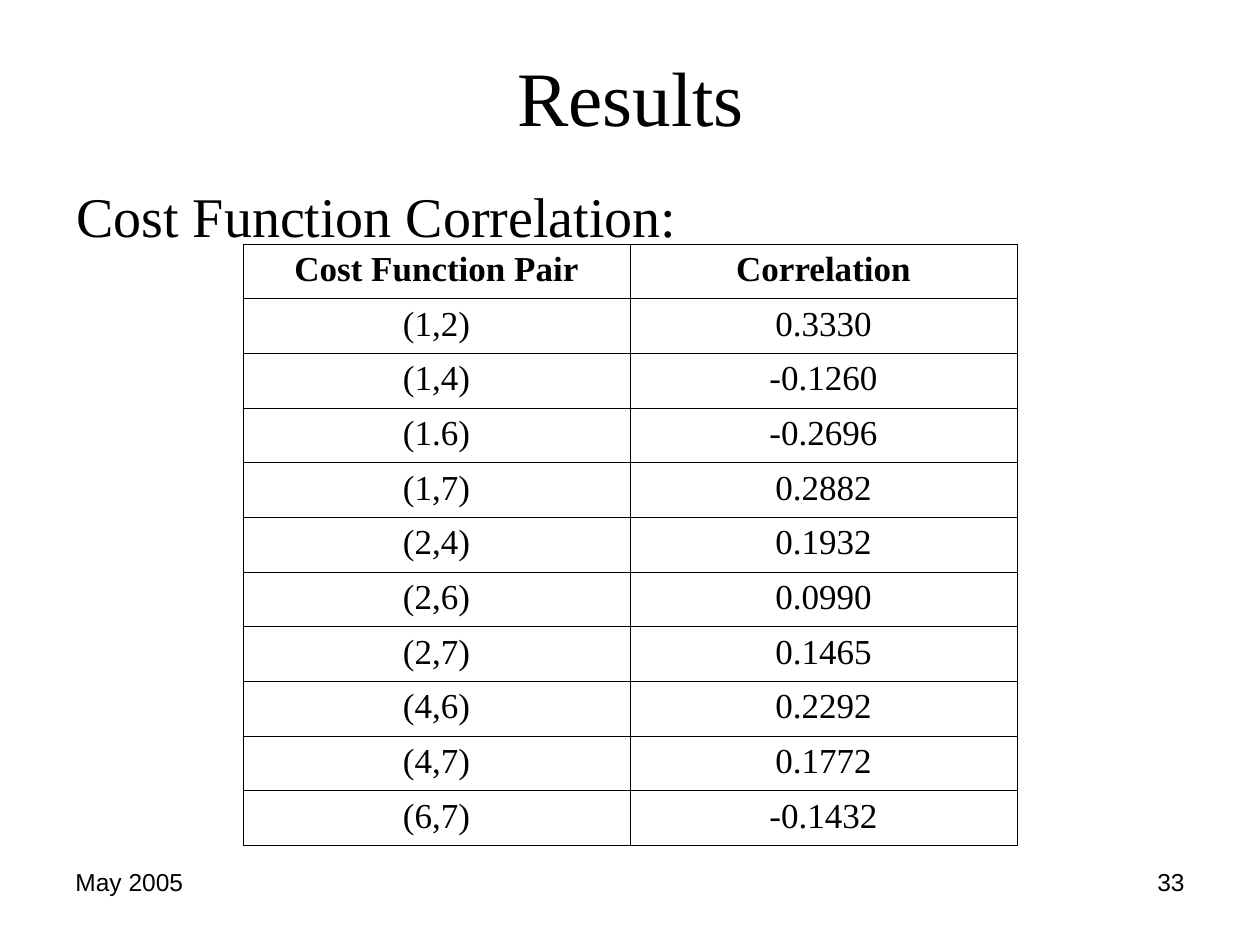
from dataclasses import dataclass, field
from typing import Any

from lxml import etree
from pptx import Presentation
from pptx import util as u
from pptx.dml import color
from pptx.enum import text
from pptx.oxml import ns

EMU_PER_PX = 914400 / 126


@dataclass(frozen=True)
class Theme:
    ink: str = "000000"
    paper: str = "FFFFFF"
    panel_opacity: int = 60
    serif: str = "Times New Roman"
    sans: str = "Arial"
    title_size: int = 44
    body_size: int = 32
    cell_size: int = 20
    footer_size: int = 14
    rule: float = 0.45
    header_rule: float = 0.96


@dataclass(frozen=True)
class Box:
    left: int
    top: int
    width: int
    height: int

    def emu(self) -> tuple[int, ...]:
        return tuple(px(n) for n in (self.left, self.top, self.width, self.height))


@dataclass(frozen=True)
class Label:
    wording: str
    box: Box
    font: dict[str, Any]
    align: text.PP_ALIGN = text.PP_ALIGN.LEFT
    anchor: text.MSO_ANCHOR = text.MSO_ANCHOR.TOP
    panel: bool = False


@dataclass(frozen=True)
class Grid:
    box: Box
    header: tuple[str, str]
    rows: list[tuple[str, str]] = field(default_factory=list)


THEME = Theme()
SLIDE = Box(0, 0, 1260, 945)
FOOTER = {"name": THEME.sans, "size": u.Pt(THEME.footer_size)}

LABELS = [
    Label("Results", Box(64, 16, 1134, 159),
          {"name": THEME.serif, "size": u.Pt(THEME.title_size)},
          text.PP_ALIGN.CENTER, text.MSO_ANCHOR.MIDDLE, True),
    Label("Cost Function Correlation:", Box(64, 175, 1134, 669),
          {"name": THEME.serif, "size": u.Pt(THEME.body_size)}, panel=True),
    Label("33", Box(903, 861, 294, 66), FOOTER, text.PP_ALIGN.RIGHT),
    Label("May 2005", Box(63, 861, 294, 66), FOOTER),
]

CORRELATIONS = Grid(
    Box(243, 244, 774, 600),
    ("Cost Function Pair", "Correlation"),
    [
        ("(1,2)", "0.3330"),
        ("(1,4)", "-0.1260"),
        ("(1.6)", "-0.2696"),
        ("(1,7)", "0.2882"),
        ("(2,4)", "0.1932"),
        ("(2,6)", "0.0990"),
        ("(2,7)", "0.1465"),
        ("(4,6)", "0.2292"),
        ("(4,7)", "0.1772"),
        ("(6,7)", "-0.1432"),
    ],
)


def px(length: float) -> int:
    return round(length * EMU_PER_PX)


def apply(target: Any, values: dict[str, Any]) -> None:
    for name, value in values.items():
        setattr(target, name, value)


def write(paragraph: Any, wording: str, font: dict[str, Any], align: text.PP_ALIGN) -> None:
    run = paragraph.add_run()
    run.text = wording
    paragraph.alignment = align
    apply(run.font, font)
    run.font.color.rgb = color.RGBColor.from_string(THEME.ink)


def fill_panel(shape: Any) -> None:
    shape.fill.solid()
    shape.fill.fore_color.rgb = color.RGBColor.from_string(THEME.paper)
    tint = shape.fill._xPr.find(".//" + ns.qn("a:srgbClr"))
    etree.SubElement(tint, ns.qn("a:alpha"), val=str(THEME.panel_opacity * 1000))


def draw_label(slide: Any, label: Label) -> None:
    shape = slide.shapes.add_textbox(*label.box.emu())
    if label.panel:
        fill_panel(shape)
    apply(shape.text_frame, {"word_wrap": True, "vertical_anchor": label.anchor})
    write(shape.text_frame.paragraphs[0], label.wording, label.font, label.align)


def draw_borders(cell: Any, weights: dict[str, float]) -> None:
    properties = cell._tc.get_or_add_tcPr()
    for index, (side, weight) in enumerate(weights.items()):
        edge = etree.Element(ns.qn(f"a:ln{side}"), w=str(u.Pt(weight)))
        solid = etree.SubElement(edge, ns.qn("a:solidFill"))
        etree.SubElement(solid, ns.qn("a:srgbClr"), val=THEME.ink)
        properties.insert(index, edge)


def draw_grid(slide: Any, grid: Grid) -> None:
    lines = [grid.header, *grid.rows]
    table = slide.shapes.add_table(len(lines), len(grid.header), *grid.box.emu()).table
    apply(table, {"first_row": False, "horz_banding": False})
    for column in table.columns:
        column.width = px(grid.box.width / len(grid.header))
    for r, line in enumerate(lines):
        table.rows[r].height = px(grid.box.height / len(lines))
        font = {"name": THEME.serif, "size": u.Pt(THEME.cell_size), "bold": r == 0}
        weights = {
            "L": THEME.rule,
            "R": THEME.rule,
            "T": THEME.header_rule if r == 1 else THEME.rule,
            "B": THEME.header_rule if r == 0 else THEME.rule,
        }
        for c, wording in enumerate(line):
            cell = table.cell(r, c)
            cell.fill.background()
            draw_borders(cell, weights)
            write(cell.text_frame.paragraphs[0], wording, font, text.PP_ALIGN.CENTER)


def main() -> None:
    deck = Presentation()
    apply(deck, {"slide_width": px(SLIDE.width), "slide_height": px(SLIDE.height)})
    slide = deck.slides.add_slide(deck.slide_layouts[6])
    heading, caption, *footers = LABELS
    for label in (heading, caption):
        draw_label(slide, label)
    draw_grid(slide, CORRELATIONS)
    for label in footers:
        draw_label(slide, label)
    deck.save("out.pptx")


if __name__ == "__main__":
    main()
